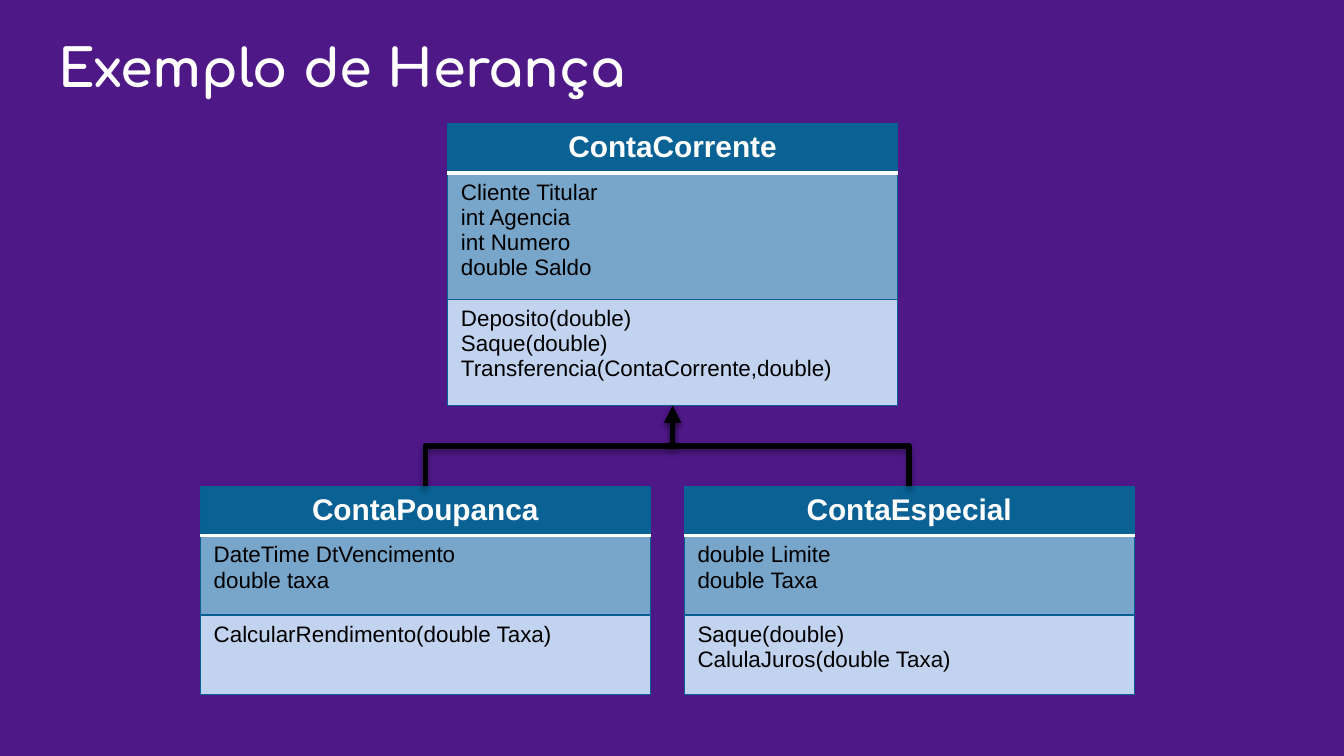
from lxml import etree
from pptx import Presentation
from pptx.dml.color import RGBColor
from pptx.enum.shapes import MSO_CONNECTOR
from pptx.enum.text import MSO_ANCHOR, PP_ALIGN
from pptx.oxml import parse_xml
from pptx.oxml.ns import nsdecls, qn
from pptx.util import Inches, Pt

ELBOW = MSO_CONNECTOR.ELBOW
MIDDLE = MSO_ANCHOR.MIDDLE
LEFT, CENTER = PP_ALIGN.LEFT, PP_ALIGN.CENTER

COLORS = {
    "background": "4E1887",
    "header": "0A6194",
    "attributes": "78A5CA",
    "methods": "C2D3EF",
    "border": "066094",
    "white": "FFFFFF",
    "black": "000000",
}
CLASS_WIDTH = 3.35
HEADER_HEIGHT = 0.34
PARENT_LEFT, PARENT_TOP, PARENT_BOTTOM = 3.33, 0.92, 3.02
CHILD_TOP = 3.62


def rgb(name):
    return RGBColor.from_string(COLORS[name])


class ClassDiagram:
    """Holds the style and the slide being drawn."""

    title_font, body_font = "Comfortaa", "Arial"

    def __init__(self, slide):
        self.slide = slide
        slide.background.fill.solid()
        slide.background.fill.fore_color.rgb = rgb("background")

    def add_run(self, paragraph, text, font, size, color, bold=False):
        run = paragraph.add_run()
        run.text = text
        run.font.name = font
        run.font.size = Pt(size)
        run.font.bold = bold
        run.font.color.rgb = rgb(color)

    def add_title(self, text):
        box = self.slide.shapes.add_textbox(
            Inches(0.34), Inches(0.18), Inches(9.32), Inches(0.63))
        frame = box.text_frame
        frame.word_wrap = True
        frame.vertical_anchor = MIDDLE
        frame.margin_top = frame.margin_bottom = Inches(0.1)
        self.add_run(frame.paragraphs[0], text, self.title_font, 28, "white", True)

    def set_border(self, cell, side, color, points):
        """Add one cell border; call in the order L, R, T, B, before the fill."""
        cell._tc.get_or_add_tcPr().append(parse_xml(
            f'<a:ln{side} {nsdecls("a")} w="{Pt(points)}"><a:solidFill>'
            f'<a:srgbClr val="{COLORS[color]}"/></a:solidFill></a:ln{side}>'))

    def fill_cell(self, cell, lines, fill, header, below_header):
        white_side = "B" if header else "T" if below_header else None
        for side in "LRTB":
            if side == white_side:
                self.set_border(cell, side, "white", 2)
            else:
                self.set_border(cell, side, "border", 0.75)
        cell.fill.solid()
        cell.fill.fore_color.rgb = rgb(fill)
        frame = cell.text_frame
        for index, line in enumerate(lines):
            paragraph = frame.add_paragraph() if index else frame.paragraphs[0]
            paragraph.alignment = CENTER if header else LEFT
            size, color = (16, "white") if header else (12, "black")
            self.add_run(paragraph, line, self.body_font, size, color, header)

    def add_class(self, left, top, heights, name, attributes, methods):
        heights = (HEADER_HEIGHT, *heights)
        table = self.slide.shapes.add_table(
            3, 1, Inches(left), Inches(top),
            Inches(CLASS_WIDTH), Inches(sum(heights))).table
        table.first_row = table.horz_banding = False
        sections = (([name], "header"), (attributes, "attributes"), (methods, "methods"))
        for index, (lines, fill) in enumerate(sections):
            table.rows[index].height = Inches(heights[index])
            self.fill_cell(table.cell(index, 0), lines, fill, index == 0, index == 1)

    def add_inheritance(self, child_x, parent_x):
        """Draw an elbow arrow upward: a horizontal elbow turned a quarter."""
        direction = 1 if child_x < parent_x else -1
        middle_x = (child_x + parent_x) / 2
        middle_y = (CHILD_TOP + PARENT_BOTTOM) / 2
        across = direction * (CHILD_TOP - PARENT_BOTTOM) / 2
        down = abs(parent_x - child_x) / 2
        connector = self.slide.shapes.add_connector(
            ELBOW, Inches(middle_x + across), Inches(middle_y + down),
            Inches(middle_x - across), Inches(middle_y - down))
        connector.line.color.rgb = rgb("black")
        connector.line.width = Pt(3)
        properties = connector._element.spPr
        properties.find(qn("a:xfrm")).set("rot", str(direction * 90 % 360 * 60000))
        etree.SubElement(connector.line._get_or_add_ln(), qn("a:tailEnd"), type="triangle")
        properties.append(parse_xml(
            f'<a:effectLst {nsdecls("a")}><a:outerShdw blurRad="{Pt(3.1)}" '
            f'dist="{Pt(1.8)}" dir="5400000" rotWithShape="0">'
            f'<a:srgbClr val="{COLORS["black"]}"><a:alpha val="35000"/></a:srgbClr>'
            '</a:outerShdw></a:effectLst>'))


def main():
    presentation = Presentation()
    presentation.slide_width = Inches(10)
    presentation.slide_height = Inches(10) * 9 // 16
    diagram = ClassDiagram(presentation.slides.add_slide(presentation.slide_layouts[6]))

    diagram.add_title("Exemplo de Herança")
    diagram.add_class(
        PARENT_LEFT, PARENT_TOP, (0.94, 0.79), "ContaCorrente",
        ["Cliente Titular", "int Agencia", "int Numero", "double Saldo"],
        ["Deposito(double)", "Saque(double)", "Transferencia(ContaCorrente,double)"])

    children = (
        (1.49, "ContaPoupanca", ["DateTime DtVencimento", "double taxa"],
         ["CalcularRendimento(double Taxa)"]),
        (5.09, "ContaEspecial", ["double Limite", "double Taxa"],
         ["Saque(double)", "CalulaJuros(double Taxa)"]),
    )
    for left, name, attributes, methods in children:
        diagram.add_class(left, CHILD_TOP, (0.59, 0.59), name, attributes, methods)
    for left, *_ in reversed(children):
        diagram.add_inheritance(left + CLASS_WIDTH / 2, PARENT_LEFT + CLASS_WIDTH / 2)

    presentation.save("out.pptx")


if __name__ == "__main__":
    main()
